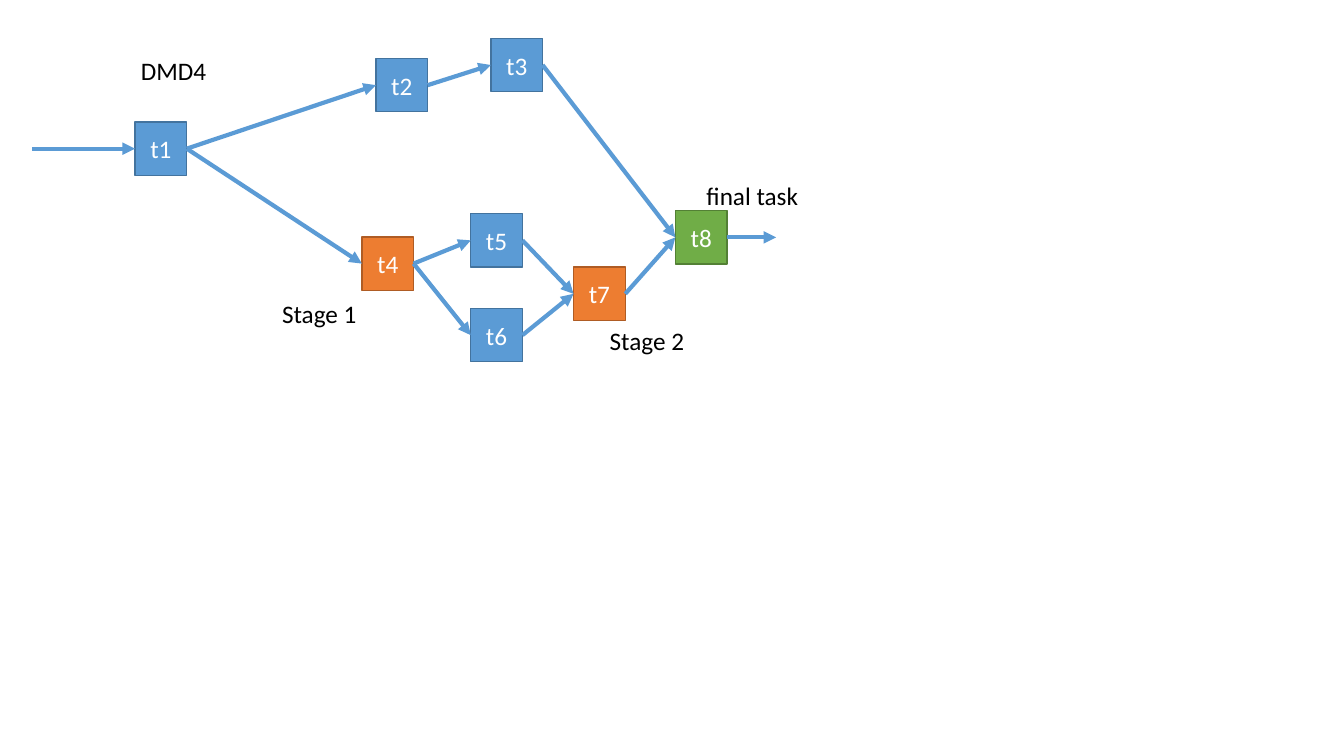
from lxml import etree
from pptx import Presentation
from pptx import util as u
from pptx.dml.color import RGBColor
from pptx.enum import shapes, text
from pptx.oxml import ns

COLS, ROWS = 133.33, 75
SIDE, TALL = 5.13, 5.3
LEFT, RIGHT = 1, 3
BLUE = ("5B9BD5", "43739E")
ORANGE = ("ED7D31", "AF5C24")
GREEN = ("70AD47", "538035")

TASKS = {
    "t1": (13.4, 12.1, BLUE),
    "t2": (37.3, 5.8, BLUE),
    "t3": (48.7, 3.8, BLUE),
    "t4": (35.9, 23.5, ORANGE),
    "t5": (46.7, 21.2, BLUE),
    "t6": (46.7, 30.6, BLUE),
    "t7": (56.9, 26.5, ORANGE),
    "t8": (67, 20.9, GREEN),
}
LINKS = [
    ("t1", "t2"), ("t2", "t3"), ("t3", "t8"), ("t1", "t4"), ("t4", "t5"),
    ("t4", "t6"), ("t5", "t7"), ("t6", "t7"), ("t7", "t8"),
]
LABELS = [
    ("DMD4", 13, 5, 8.6),
    ("final task", 69.1, 17.4, 11.2),
    ("Stage 1", 27, 29.1, 9.5),
    ("Stage 2", 59.5, 31.8, 9.5),
]


def paint(color, code):
    color.rgb = RGBColor.from_string(code)


def place(box, col, row, wide, high):
    left, top, width, height = box
    return (
        int(left + width * col / COLS),
        int(top + height * row / ROWS),
        int(width * wide / COLS),
        int(height * high / ROWS),
    )


def write(frame, words, code):
    run = frame.paragraphs[0].add_run()
    run.text = words
    run.font.name = "Calibri"
    run.font.size = u.Pt(18)
    paint(run.font.color, code)


def add_task(slide, box, name, col, row, tones):
    task = slide.shapes.add_shape(
        shapes.MSO_SHAPE.RECTANGLE, *place(box, col, row, SIDE, TALL))
    task.shadow.inherit = False
    task.fill.solid()
    paint(task.fill.fore_color, tones[0])
    paint(task.line.color, tones[1])
    task.line.width = u.Pt(1)
    frame = task.text_frame
    frame.vertical_anchor = text.MSO_ANCHOR.MIDDLE
    frame.paragraphs[0].alignment = text.PP_ALIGN.CENTER
    write(frame, name, "FFFFFF")
    return task


def port(task, side):
    left = task.left + (task.width if side == RIGHT else 0)
    return left, task.top + task.height // 2


def add_arrow(slide, start, end):
    arrow = slide.shapes.add_connector(
        shapes.MSO_CONNECTOR.STRAIGHT, *start, *end)
    paint(arrow.line.color, BLUE[0])
    arrow.line.width = u.Pt(3)
    line = arrow.line._get_or_add_ln()
    etree.SubElement(line, ns.qn("a:tailEnd"), type="triangle")
    etree.SubElement(arrow._element.spPr, ns.qn("a:effectLst"))
    return arrow


def add_label(slide, box, words, col, row, wide):
    label = slide.shapes.add_textbox(*place(box, col, row, wide, 4))
    frame = label.text_frame
    frame.word_wrap = False
    frame.auto_size = text.MSO_AUTO_SIZE.SHAPE_TO_FIT_TEXT
    write(frame, words, "000000")


def draw_graph(slide, box):
    tasks = {name: add_task(slide, box, name, *data)
             for name, data in TASKS.items()}
    for first, last in LINKS:
        source, goal = tasks[first], tasks[last]
        arrow = add_arrow(slide, port(source, RIGHT), port(goal, LEFT))
        arrow.begin_connect(source, RIGHT)
        arrow.end_connect(goal, LEFT)

    entry = port(tasks["t1"], LEFT)
    start = place(box, 3.2, 0, 0, 0)[0], entry[1]
    add_arrow(slide, start, entry).end_connect(tasks["t1"], LEFT)
    leave = port(tasks["t8"], RIGHT)
    end = place(box, 77, 0, 0, 0)[0], leave[1]
    add_arrow(slide, leave, end).begin_connect(tasks["t8"], RIGHT)

    for label in LABELS:
        add_label(slide, box, *label)


def main():
    deck = Presentation()
    deck.slide_width = u.Inches(13.33)
    deck.slide_height = u.Inches(7.5)
    slide = deck.slides.add_slide(deck.slide_layouts[6])
    draw_graph(slide, (0, 0, deck.slide_width, deck.slide_height))
    deck.save("out.pptx")


if __name__ == "__main__":
    main()
